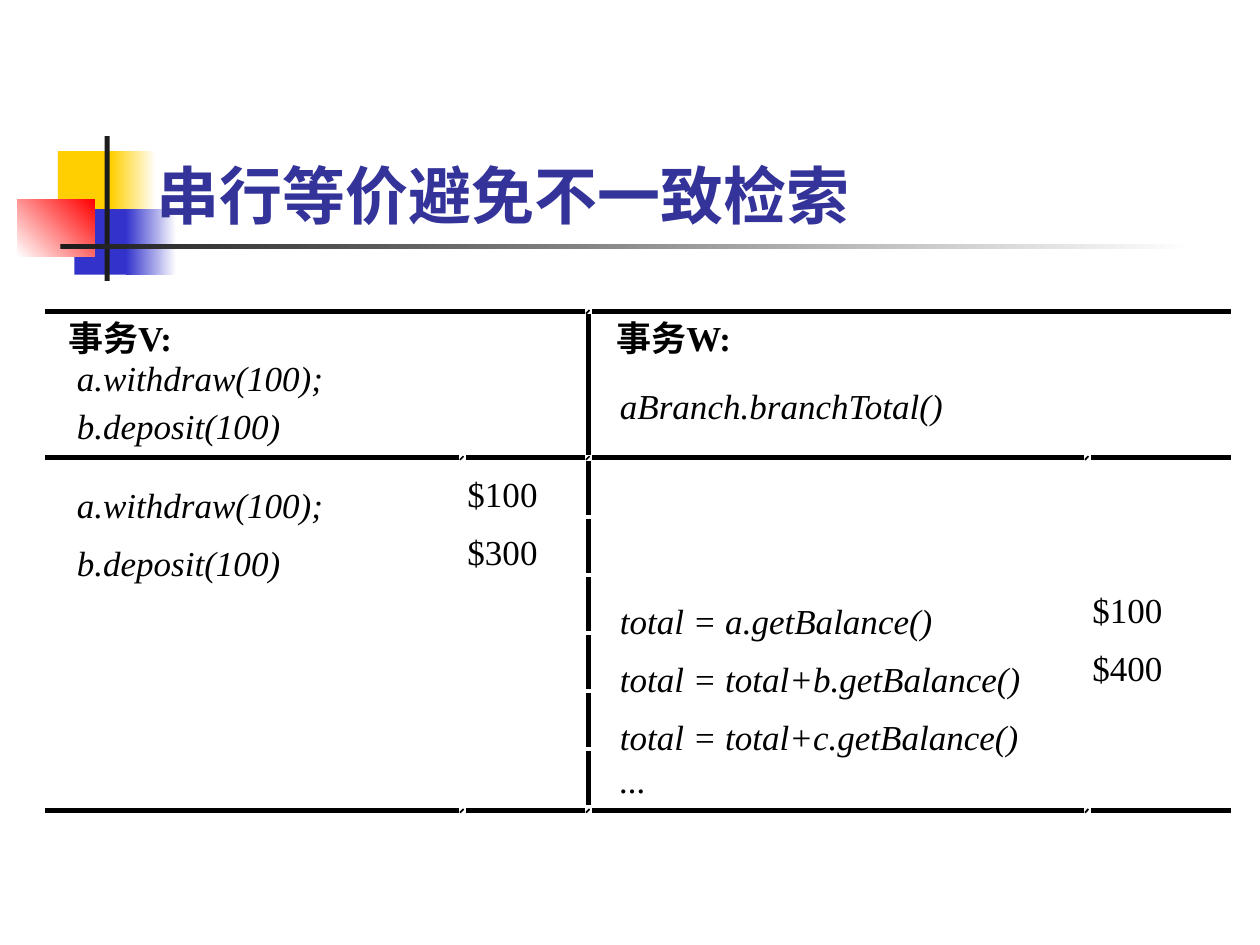
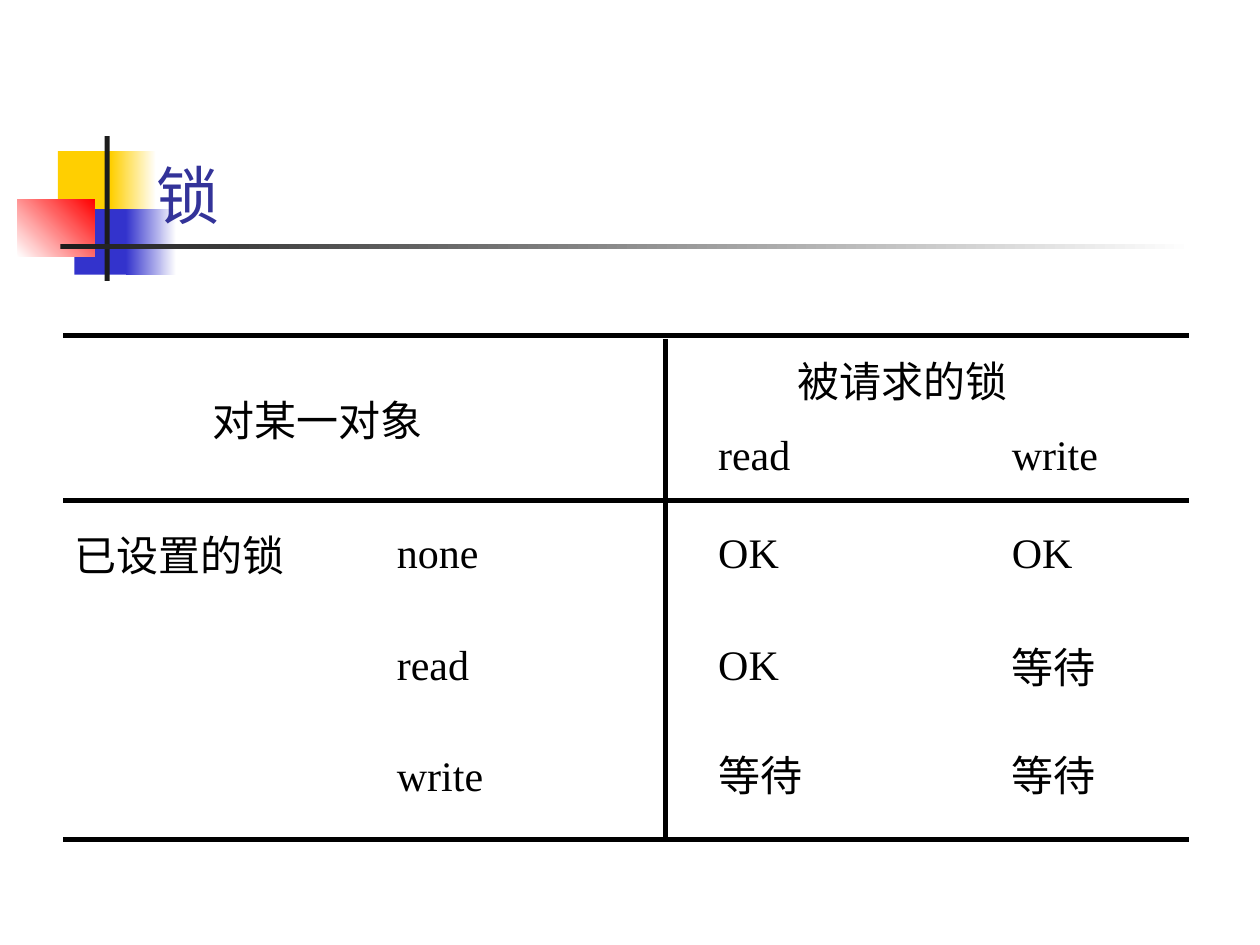
from dataclasses import dataclass
from functools import partial
from itertools import pairwise

from pptx import Presentation
from pptx import util as u
from pptx.dml.color import RGBColor
from pptx.enum import shapes, text
from pptx.oxml import ns, xmlchemy

# Shared look
YELLOW = RGBColor(0xFF, 0xCF, 0x01)
BLUE = RGBColor(0x33, 0x33, 0xCC)
RED = RGBColor(0xFF, 0x00, 0x00)
DARK = RGBColor(0x1C, 0x1C, 0x1C)
WHITE = RGBColor(0xFF, 0xFF, 0xFF)
BLACK = RGBColor(0x00, 0x00, 0x00)
TITLE_COLOR = RGBColor(0x33, 0x33, 0x99)
BODY_FONT = "Times New Roman"
CJK_FONT = "Noto Sans CJK JP"
TITLE_ONLY = 5
SLACK = 0.03  # spare width that keeps each label on one line


@dataclass(frozen=True)
class Block:
    """A rectangle of the title ornament; with fade_to it is a gradient."""
    left: float
    top: float
    width: float
    height: float
    color: RGBColor
    fade_to: RGBColor | None = None
    angle: float = 0


@dataclass(frozen=True)
class Grid:
    """Column and row positions in inches."""
    columns: tuple[float, ...]
    rows: tuple[float, ...]


@dataclass(frozen=True)
class Label:
    """One line of text, offset from a grid crossing."""
    text: str
    column: int
    row: int
    width: float
    indent: float = 0
    drop: float = 0
    size: int = 20
    bold: bool = False
    italic: bool = False


ORNAMENT = (
    Block(0.46, 1.2, 0.48, 0.52, YELLOW),
    Block(0.88, 1.2, 0.36, 0.52, YELLOW, WHITE),
    Block(0.59, 1.66, 0.46, 0.52, BLUE),
    Block(1, 1.66, 0.4, 0.52, BLUE, WHITE),
    Block(0.14, 1.58, 0.61, 0.46, WHITE, RED, 45),
    Block(0.83, 1.08, 0.04, 1.15, DARK),
    Block(0.48, 1.94, 9, 0.04, DARK, WHITE),
)


def add_block(slide, block: Block):
    box = map(u.Inches, (block.left, block.top, block.width, block.height))
    shape = slide.shapes.add_shape(shapes.MSO_SHAPE.RECTANGLE, *box)
    shape.shadow.inherit = False
    shape.line.fill.background()
    if block.fade_to is None:
        shape.fill.solid()
        shape.fill.fore_color.rgb = block.color
    else:
        shape.fill.gradient()
        shape.fill.gradient_angle = block.angle
        for stop, color in zip(shape.fill.gradient_stops, (block.color, block.fade_to)):
            stop.color.rgb = color
    return shape


def move_ornament_to_layout(slide) -> None:
    """Draw the ornament on a slide, then hand it to the layout all slides share."""
    tree = slide.slide_layout.shapes._spTree
    for index, block in enumerate(ORNAMENT):
        element = add_block(slide, block)._element
        element.nvSpPr.cNvPr.set("id", str(100 + index))
        tree.insert(2 + index, element)


def format_run(run, font_name: str, size: int, color: RGBColor,
               bold: bool = False, italic: bool = False) -> None:
    font = run.font
    font.name, font.size = font_name, u.Pt(size)
    font.bold, font.italic = bold, italic
    font.color.rgb = color
    east_asian = xmlchemy.OxmlElement("a:ea")
    east_asian.set("typeface", CJK_FONT)
    run._r.get_or_add_rPr().find(ns.qn("a:latin")).addnext(east_asian)


def set_title(slide, words: str, font_name: str, bold: bool = False) -> None:
    title = slide.shapes.title
    title.left, title.top = u.Inches(1.14), u.Inches(0.91)
    title.width, title.height = u.Inches(7.4), u.Inches(0.98)
    frame = title.text_frame
    frame.text = words
    frame.auto_size = text.MSO_AUTO_SIZE.NONE
    frame.vertical_anchor = text.MSO_ANCHOR.BOTTOM
    paragraph = frame.paragraphs[0]
    paragraph.alignment = text.PP_ALIGN.LEFT
    format_run(paragraph.runs[0], font_name, 36, TITLE_COLOR, bold)


def add_label(slide, grid: Grid, label: Label) -> None:
    left = grid.columns[label.column] + label.indent
    top = grid.rows[label.row] + label.drop
    box = map(u.Inches, (left, top, label.width + SLACK, label.size / 60))
    frame = slide.shapes.add_textbox(*box).text_frame
    frame.margin_left = frame.margin_right = frame.margin_top = frame.margin_bottom = 0
    frame.word_wrap = True
    frame.auto_size = text.MSO_AUTO_SIZE.SHAPE_TO_FIT_TEXT
    frame.text = label.text
    format_run(frame.paragraphs[0].runs[0], BODY_FONT, label.size, BLACK,
               label.bold, label.italic)


def add_rule(slide, x1: float, y1: float, x2: float, y2: float, weight: float) -> None:
    ends = map(u.Inches, (x1, y1, x2, y2))
    line = slide.shapes.add_connector(shapes.MSO_CONNECTOR.STRAIGHT, *ends)
    line.line.color.rgb = BLACK
    line.line.width = u.Pt(weight)
    line._element.spPr.append(xmlchemy.OxmlElement("a:effectLst"))


def add_broken_rule(slide, edges: tuple[float, ...], y: float, weight: float) -> None:
    """A horizontal rule with a gap and a tiny tick at each inner column edge."""
    gap, tick = 0.03, 0.01
    for left, right in pairwise(edges):
        start = left if left == edges[0] else left + gap
        end = right if right == edges[-1] else right - gap
        add_rule(slide, start, y, end, y, weight)
    for edge in edges[1:-1]:
        add_rule(slide, edge - tick, y, edge, y + tick, weight)


# Slide 1: two transactions side by side
STEP = 0.46
STEPS = 6
TRANSACTIONS = Grid(
    columns=(0.36, 3.67, 4.67, 8.63, 9.77),
    rows=(2.47, *(3.66 + STEP * step for step in range(STEPS))),
)
heading = partial(Label, row=0, drop=0.04, bold=True)
operation = partial(Label, indent=0.25, drop=0.18, italic=True)
balance = partial(Label, width=0.56, indent=0.04, drop=0.09)
TRANSACTION_LABELS = (
    heading("事务V:", 0, width=0.99, indent=0.18),
    operation("a.withdraw(100);", 0, 0, 1.96, drop=0.36),
    operation("b.deposit(100)", 0, 0, 1.62, drop=0.74),
    heading("事务W:", 2, width=1.06, indent=0.22),
    operation("aBranch.branchTotal()", 2, 0, 2.59, drop=0.58),
    operation("a.withdraw(100);", 0, 1, 1.96),
    balance("$100", 1, 1),
    operation("b.deposit(100)", 0, 2, 1.62),
    balance("$300", 1, 2),
    operation("total = a.getBalance()", 2, 3, 2.48),
    balance("$100", 3, 3),
    operation("total = total+b.getBalance()", 2, 4, 3.18),
    balance("$400", 3, 4),
    operation("total = total+c.getBalance()", 2, 5, 3.17),
    operation("...", 2, 5, 0.21, drop=0.52),
)


def build_transactions(slide) -> None:
    set_title(slide, "串行等价避免不一致检索", CJK_FONT, bold=True)
    for label in TRANSACTION_LABELS:
        add_label(slide, TRANSACTIONS, label)
    weight = 2.86
    edges = TRANSACTIONS.columns
    middle = edges[2]
    add_broken_rule(slide, (edges[0], middle, edges[-1]), 2.47, weight)
    for y in (3.63, 6.43):
        add_broken_rule(slide, edges, y, weight)
    # Divider, one piece for each row
    add_rule(slide, middle, 2.49, middle, 3.61, weight)
    for top in TRANSACTIONS.rows[1:]:
        add_rule(slide, middle, top, middle, top + STEP - 0.03, weight)


# Slide 2: lock compatibility
LOCKS = Grid(columns=(0.59, 3.15, 5.7, 8.03), rows=(2.82, 3.4, 4.18, 5.07, 5.95))
lock = partial(Label, size=24)
read, write = partial(lock, "read", width=0.57), partial(lock, "write", width=0.69)
granted, waiting = partial(lock, "OK", width=0.48), partial(lock, "等待", width=0.67)
LOCK_LABELS = (
    lock("对某一对象", 0, 0, 1.67, indent=1.1, drop=0.31),
    lock("被请求的锁", 2, 0, 1.67, indent=0.63),
    read(2, 1), write(3, 1),
    lock("已设置的锁", 0, 2, 1.67, drop=0.02),
    lock("none", 1, 2, 0.65), granted(2, 2), granted(3, 2),
    read(1, 3), granted(2, 3), waiting(3, 3, drop=0.02),
    write(1, 4), waiting(2, 4), waiting(3, 4),
)


def build_locks(slide) -> None:
    set_title(slide, "锁", "Karla")
    for label in LOCK_LABELS:
        add_label(slide, LOCKS, label)
    for y in (2.66, 3.97, 6.66):
        add_rule(slide, 0.5, y, 9.44, y, 3)
    add_rule(slide, 5.28, 2.69, 5.28, 6.66, 3)


def main() -> None:
    presentation = Presentation()
    presentation.slide_width, presentation.slide_height = u.Inches(10), u.Inches(7.5)
    layout = presentation.slide_layouts[TITLE_ONLY]
    first, second = (presentation.slides.add_slide(layout) for _ in range(2))
    move_ornament_to_layout(first)
    build_transactions(first)
    build_locks(second)
    presentation.save("out.pptx")


if __name__ == "__main__":
    main()
